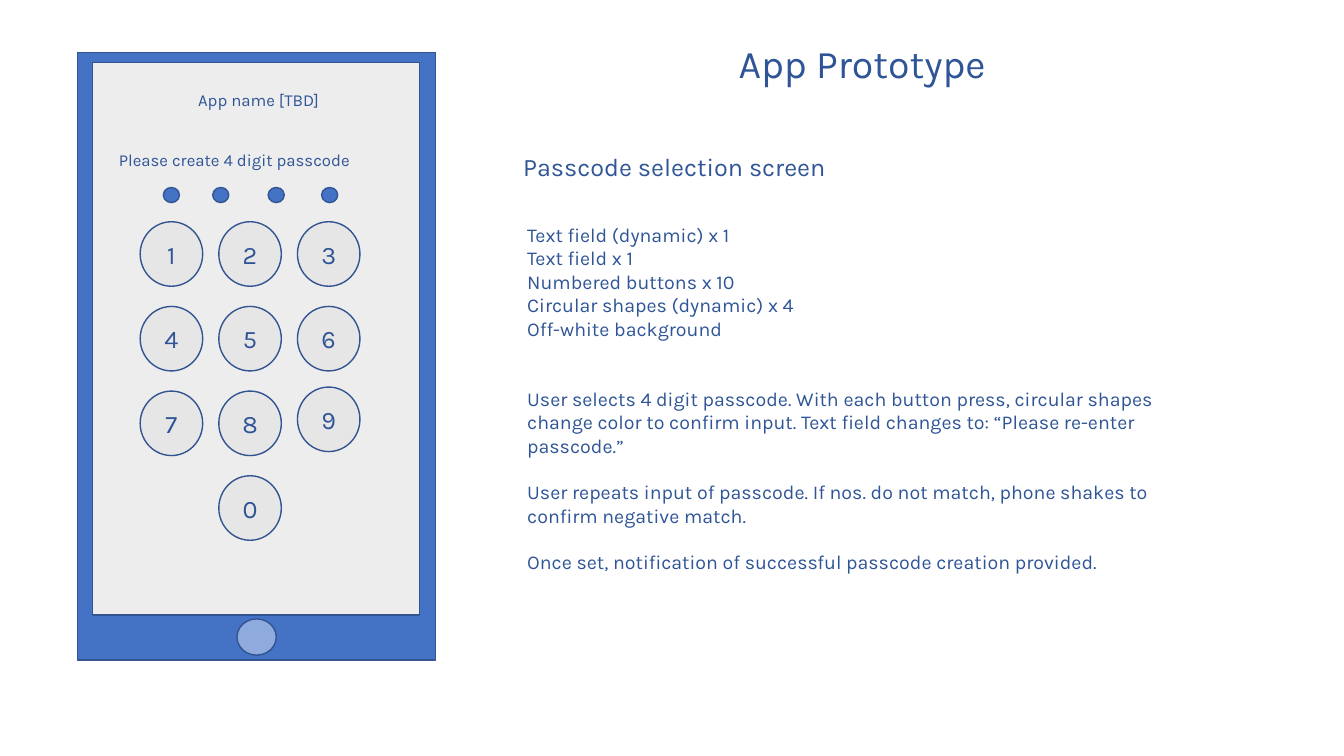
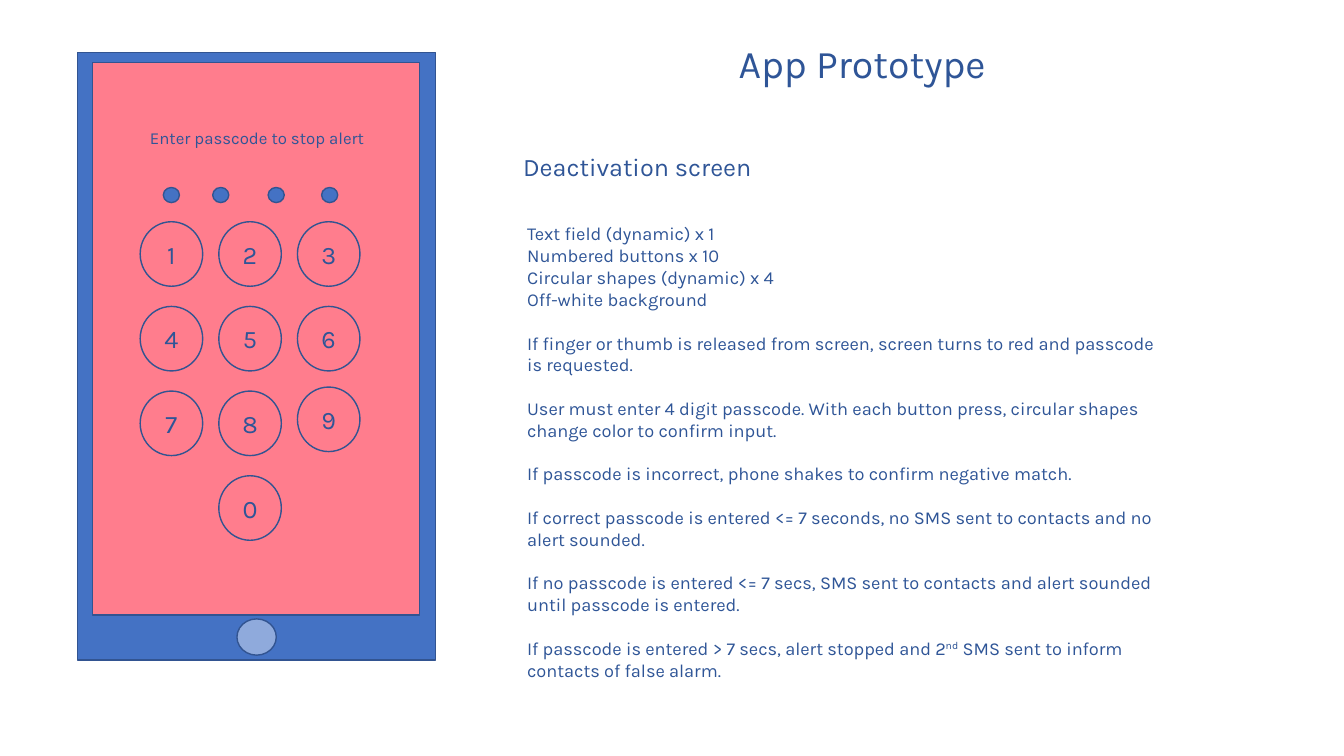
from dataclasses import dataclass

from pptx import Presentation
from pptx.dml.color import RGBColor
from pptx.enum.shapes import MSO_SHAPE
from pptx.enum.text import MSO_ANCHOR, MSO_AUTO_SIZE, PP_ALIGN
from pptx.shapes.autoshape import Shape
from pptx.slide import Slide
from pptx.text.text import TextFrame
from pptx.util import Inches, Pt

RECT, OVAL = MSO_SHAPE.RECTANGLE, MSO_SHAPE.OVAL
LEFT, CENTER = PP_ALIGN.LEFT, PP_ALIGN.CENTER
MIDDLE, GROW = MSO_ANCHOR.MIDDLE, MSO_AUTO_SIZE.SHAPE_TO_FIT_TEXT

COLORS = {
    "text": "2F5597",
    "edge": "325491",
    "phone": "4472C4",
    "home": "8FAADC",
    "light": "EDEDED",
    "key": "E7E6E6",
    "alert": "FF7D8D",
}
FONT = "Karla"
BOX = {"word_wrap": True, "auto_size": GROW}
KEY = {"vertical_anchor": MIDDLE}

KEYS = ("123", "456", "789", " 0 ")
KEY_X, KEY_Y, STEP_X, STEP_Y = 1.39, 2.2, 0.78, 0.84
KEY_W, KEY_H = 0.62, 0.64
NUDGE = {"9": -0.04}
DOTS = (1.62, 2.11, 2.66, 3.19)

Area = tuple[float, float, float, float]


@dataclass(frozen=True)
class Block:
    """Lines that belong together, and the space above them in points."""
    lines: tuple[str, ...]
    gap: float = 0


@dataclass(frozen=True)
class Label:
    """A text box; carets enclose superscript."""
    area: Area
    size: float
    blocks: tuple[Block, ...]
    align: PP_ALIGN = LEFT


@dataclass(frozen=True)
class Screen:
    """One phone screen with the labels around it."""
    fill: str
    key: str
    labels: tuple[Label, ...]


def line(text: str) -> tuple[Block, ...]:
    """Wrap a single line of text."""
    return (Block((text,)),)


def notes(lines: tuple[str, ...], first: float, gap: float,
          *paras: str) -> tuple[Block, ...]:
    """Stack a list of parts and spaced paragraphs."""
    rest = (Block((para,), gap if i else first)
            for i, para in enumerate(paras))
    return (Block(lines), *rest)


TITLE = Label((5.71, 0.34, 5.68, 0.57), 28, line("App Prototype"), CENTER)
HEAD = (5.09, 1.45, 3.74, 0.4)

SCREENS = (
    Screen("light", "key", (
        Label(HEAD, 18, line("Passcode selection screen")),
        Label((1.08, 0.84, 2.97, 0.3), 12, line("App name [TBD]"), CENTER),
        Label((1.08, 1.44, 2.82, 0.3), 12,
              line("Please create 4 digit passcode")),
        Label((5.13, 2.16, 6.48, 3.87), 14, notes(
            ("Text field (dynamic) x 1",
             "Text field x 1",
             "Numbered buttons x 10",
             "Circular shapes (dynamic) x 4",
             "Off-white background"),
            33, 16.5,
            "User selects 4 digit passcode. With each button press, circular "
            "shapes change color to confirm input. Text field changes to: "
            "“Please re-enter passcode.”",
            "User repeats input of passcode. If nos. do not match, phone "
            "shakes to confirm negative match.",
            "Once set, notification of successful passcode creation "
            "provided.")),
    )),
    Screen("alert", "alert", (
        Label(HEAD, 18, line("Deactivation screen")),
        Label((1.14, 1.22, 2.82, 0.3), 12,
              line("Enter passcode to stop alert"), CENTER),
        Label((5.13, 2.16, 6.48, 4.91), 13, notes(
            ("Text field (dynamic) x 1",
             "Numbered buttons x 10",
             "Circular shapes (dynamic) x 4",
             "Off-white background"),
            15.5, 15.5,
            "If finger or thumb is released from screen, screen turns to red "
            "and passcode is requested.",
            "User must enter 4 digit passcode. With each button press, "
            "circular shapes change color to confirm input.",
            "If passcode is incorrect, phone shakes to confirm negative "
            "match.",
            "If correct passcode is entered <= 7 seconds, no SMS sent to "
            "contacts and no alert sounded.",
            "If no passcode is entered <= 7 secs, SMS sent to contacts and "
            "alert sounded until passcode is entered.",
            "If passcode is entered > 7 secs, alert stopped and 2^nd^ SMS "
            "sent to inform contacts of false alarm.")),
    )),
)


def color(name: str) -> RGBColor:
    """Look up a named colour."""
    return RGBColor.from_string(COLORS[name])


def style(item: object, values: dict) -> None:
    """Set attributes from a dict of format values."""
    for name, value in values.items():
        setattr(item, name, value)


def write(frame: TextFrame, label: Label) -> None:
    """Fill a text frame with the blocks of a label."""
    rows = [(text, 0 if i else block.gap)
            for block in label.blocks for i, text in enumerate(block.lines)]
    for i, (text, gap) in enumerate(rows):
        para = frame.add_paragraph() if i else frame.paragraphs[0]
        style(para, {"alignment": label.align, "space_before": Pt(gap)})
        for j, part in enumerate(text.split("^")):
            run = para.add_run()
            run.text = part
            style(run.font, {"name": FONT, "size": Pt(label.size)})
            run.font.color.rgb = color("text")
            if j % 2:
                run._r.get_or_add_rPr().set("baseline", "30000")


def draw(slide: Slide, kind: MSO_SHAPE, area: Area, fill: str) -> Shape:
    """Add a filled, outlined shape."""
    shape = slide.shapes.add_shape(kind, *map(Inches, area))
    shape.shadow.inherit = False
    shape.fill.solid()
    shape.fill.fore_color.rgb = color(fill)
    shape.line.color.rgb = color("edge")
    shape.line.width = Pt(1)
    return shape


def put(slide: Slide, label: Label) -> None:
    """Add a label as a text box."""
    frame = slide.shapes.add_textbox(*map(Inches, label.area)).text_frame
    style(frame, BOX)
    write(frame, label)


def phone(slide: Slide, screen: Screen) -> None:
    """Draw the phone with its dots and keypad."""
    draw(slide, RECT, (0.77, 0.52, 3.55, 6.03), "phone")
    draw(slide, RECT, (0.92, 0.62, 3.24, 5.48), screen.fill)
    draw(slide, OVAL, (2.35, 6.14, 0.39, 0.36), "home")
    for x in DOTS:
        draw(slide, OVAL, (x, 1.86, 0.16, 0.15), "phone")
    for row, digits in enumerate(KEYS):
        for col, digit in enumerate(digits):
            if digit == " ":
                continue
            area = (KEY_X + col * STEP_X,
                    KEY_Y + row * STEP_Y + NUDGE.get(digit, 0),
                    KEY_W, KEY_H)
            frame = draw(slide, OVAL, area, screen.key).text_frame
            style(frame, KEY)
            write(frame, Label(area, 18, line(digit), CENTER))


def main() -> None:
    """Build and save the deck."""
    deck = Presentation()
    style(deck, {"slide_width": Inches(13.33), "slide_height": Inches(7.5)})
    for screen in SCREENS:
        slide = deck.slides.add_slide(deck.slide_layouts[6])
        phone(slide, screen)
        for label in (TITLE, *screen.labels):
            put(slide, label)
    deck.save("out.pptx")


main()
